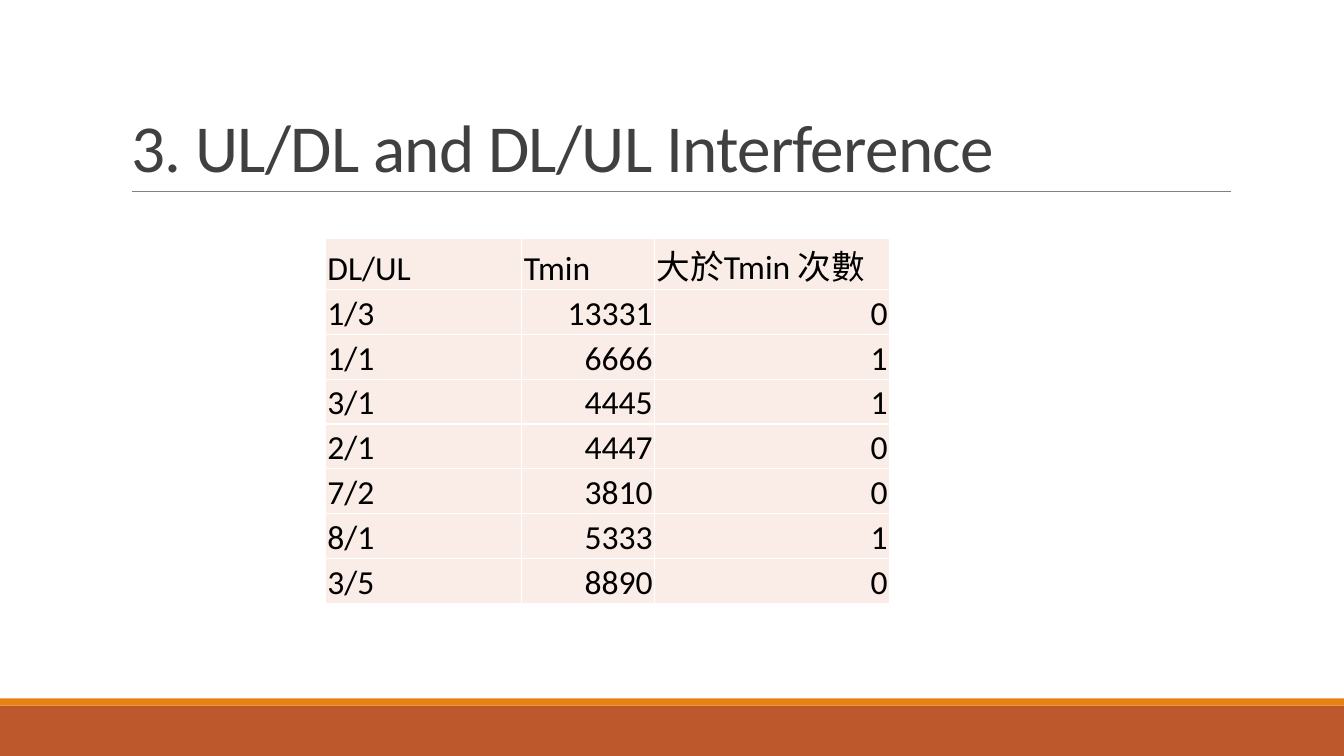
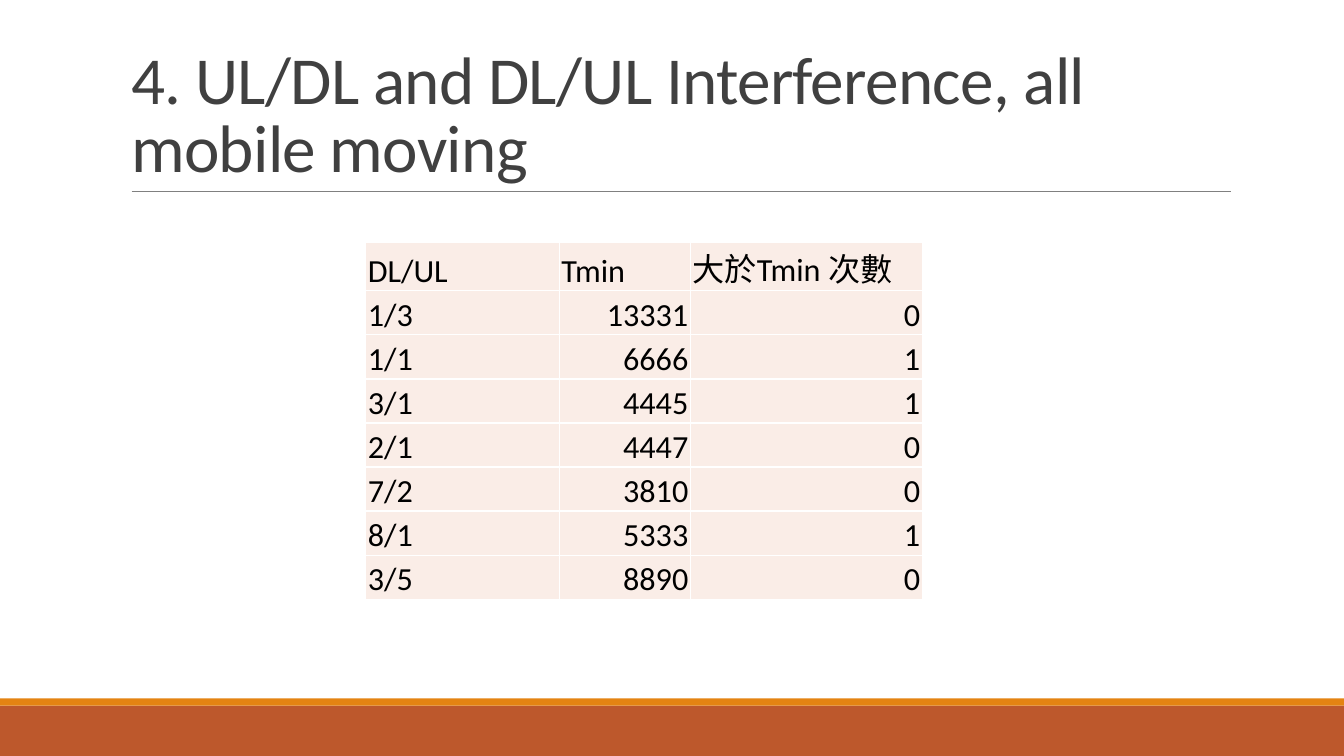
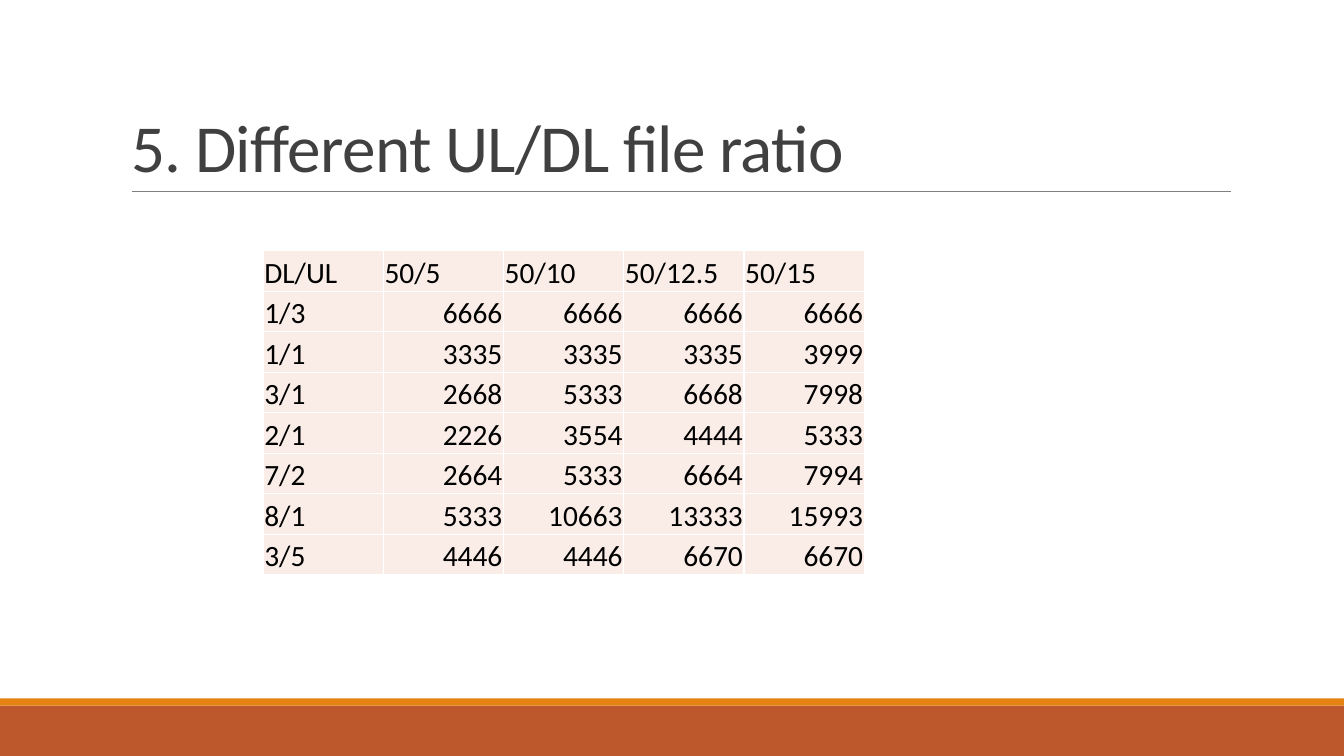
import dataclasses

import lxml.etree
import pptx
import pptx.dml.color
import pptx.enum.shapes
import pptx.enum.text
import pptx.oxml.ns
import pptx.util

Cm, Pt = pptx.util.Cm, pptx.util.Pt
rgb = pptx.dml.color.RGBColor.from_string
qn = pptx.oxml.ns.qn
ALIGN = pptx.enum.text.PP_ALIGN


@dataclasses.dataclass(frozen=True)
class Theme:
    font: str = "Calibri"
    title_ink: str = "404040"
    table_ink: str = "000000"
    band: str = "BD582C"
    accent: str = "E48312"
    rule: str = "808080"
    cell: str = "FAEDE7"
    border: str = "FFFFFF"
    title_size: int = 48
    title_spacing: int = -50  # hundredths of a point


THEME = Theme()


def add_run(paragraph, text, size, ink):
    run = paragraph.add_run()
    run.text = text
    run.font.name = THEME.font
    run.font.size = Pt(size)
    run.font.color.rgb = rgb(ink)
    return run


def add_borders(cell):
    properties = cell._tc.get_or_add_tcPr()
    for position, side in enumerate(("lnL", "lnR", "lnT", "lnB")):
        edge = lxml.etree.Element(qn("a:" + side), w=str(Pt(1)))
        fill = lxml.etree.SubElement(edge, qn("a:solidFill"))
        lxml.etree.SubElement(fill, qn("a:srgbClr"), val=THEME.border)
        properties.insert(position, edge)


# Content
interference = [
    ["DL/UL", "Tmin", "大於Tmin 次數"],
    ["1/3", "13331", "0"],
    ["1/1", "6666", "1"],
    ["3/1", "4445", "1"],
    ["2/1", "4447", "0"],
    ["7/2", "3810", "0"],
    ["8/1", "5333", "1"],
    ["3/5", "8890", "0"],
]
file_ratios = [
    ["DL/UL", "50/5", "50/10", "50/12.5", "50/15"],
    ["1/3", "6666", "6666", "6666", "6666"],
    ["1/1", "3335", "3335", "3335", "3999"],
    ["3/1", "2668", "5333", "6668", "7998"],
    ["2/1", "2226", "3554", "4444", "5333"],
    ["7/2", "2664", "5333", "6664", "7994"],
    ["8/1", "5333", "10663", "13333", "15993"],
    ["3/5", "4446", "4446", "6670", "6670"],
]
# Title, rows, left, top, column widths, row height, inset (cm), type size
topics = [
    ("3. UL/DL and DL/UL Interference", interference,
     8.2, 6.02, [4.95, 3.35, 5.92], 1.13, 0.05, 24),
    ("4. UL/DL and DL/UL Interference, all mobile moving", interference,
     9.22, 6.1, [4.88, 3.3, 5.84], 1.11, 0.05, 23),
    ("5. Different UL/DL file ratio", file_ratios,
     6.63, 6.32, [3.03] * 5, 1.02, 0.03, 21),
]

deck = pptx.Presentation()
deck.slide_width, deck.slide_height = Cm(33.87), Cm(19.05)
layout = deck.slide_layouts.get_by_name("Title Only")
slides = [deck.slides.add_slide(layout) for topic in topics]

# Shared layout: title place, bottom bands and the rule under the title
layout_title = layout.placeholders[0]
layout_title.left, layout_title.top = Cm(3.05), Cm(0.79)
layout_title.width, layout_title.height = Cm(27.94), Cm(4.04)

stage = slides[0].shapes
furniture = []
for top, height, colour in ((17.78, 1.27, THEME.band), (17.6, 0.18, THEME.accent)):
    band = stage.add_shape(pptx.enum.shapes.MSO_SHAPE.RECTANGLE,
                           0, Cm(top), deck.slide_width, Cm(height))
    band.shadow.inherit = False
    band.fill.solid()
    band.fill.fore_color.rgb = rgb(colour)
    band.line.fill.background()
    furniture.append(band)

title_rule = stage.add_connector(pptx.enum.shapes.MSO_CONNECTOR.STRAIGHT,
                                 Cm(3.32), Cm(4.82), Cm(31.02), Cm(4.82))
title_rule.line.color.rgb = rgb(THEME.rule)
title_rule.line.width = Pt(0.5)
lxml.etree.SubElement(title_rule.element.spPr, qn("a:effectLst"))
furniture.append(title_rule)

# Move the shared parts to the layout, behind its placeholders
for order, part in enumerate(furniture):
    part.element.xpath(".//p:cNvPr")[0].set("id", str(101 + order))
    layout.shapes.element.insert(2 + order, part.element)

# Slides: a title and a table each
for slide, topic in zip(slides, topics):
    heading, rows, left, top, widths, row_height, inset, size = topic

    title_frame = slide.shapes.title.text_frame
    title_frame.word_wrap = True
    title_frame.auto_size = pptx.enum.text.MSO_AUTO_SIZE.NONE
    title_frame.vertical_anchor = pptx.enum.text.MSO_ANCHOR.BOTTOM
    title_line = title_frame.paragraphs[0]
    title_line.alignment = ALIGN.LEFT
    title_line.line_spacing = 0.85
    title_run = add_run(title_line, heading, THEME.title_size, THEME.title_ink)
    title_run.font._element.set("spc", str(THEME.title_spacing))

    results = slide.shapes.add_table(
        len(rows), len(widths), Cm(left), Cm(top),
        Cm(sum(widths)), Cm(row_height * len(rows))).table
    results.first_row = results.horz_banding = False
    for column, width in zip(results.columns, widths):
        column.width = Cm(width)
    for r, values in enumerate(rows):
        results.rows[r].height = Cm(row_height)
        for c, value in enumerate(values):
            cell = results.cell(r, c)
            cell.fill.solid()
            cell.fill.fore_color.rgb = rgb(THEME.cell)
            cell.margin_left = cell.margin_right = cell.margin_top = Cm(inset)
            cell.margin_bottom = 0
            cell.vertical_anchor = pptx.enum.text.MSO_ANCHOR.BOTTOM
            add_borders(cell)
            entry = cell.text_frame.paragraphs[0]
            entry.alignment = ALIGN.RIGHT if r and c else ALIGN.LEFT
            add_run(entry, value, size, THEME.table_ink)

deck.save("out.pptx")
